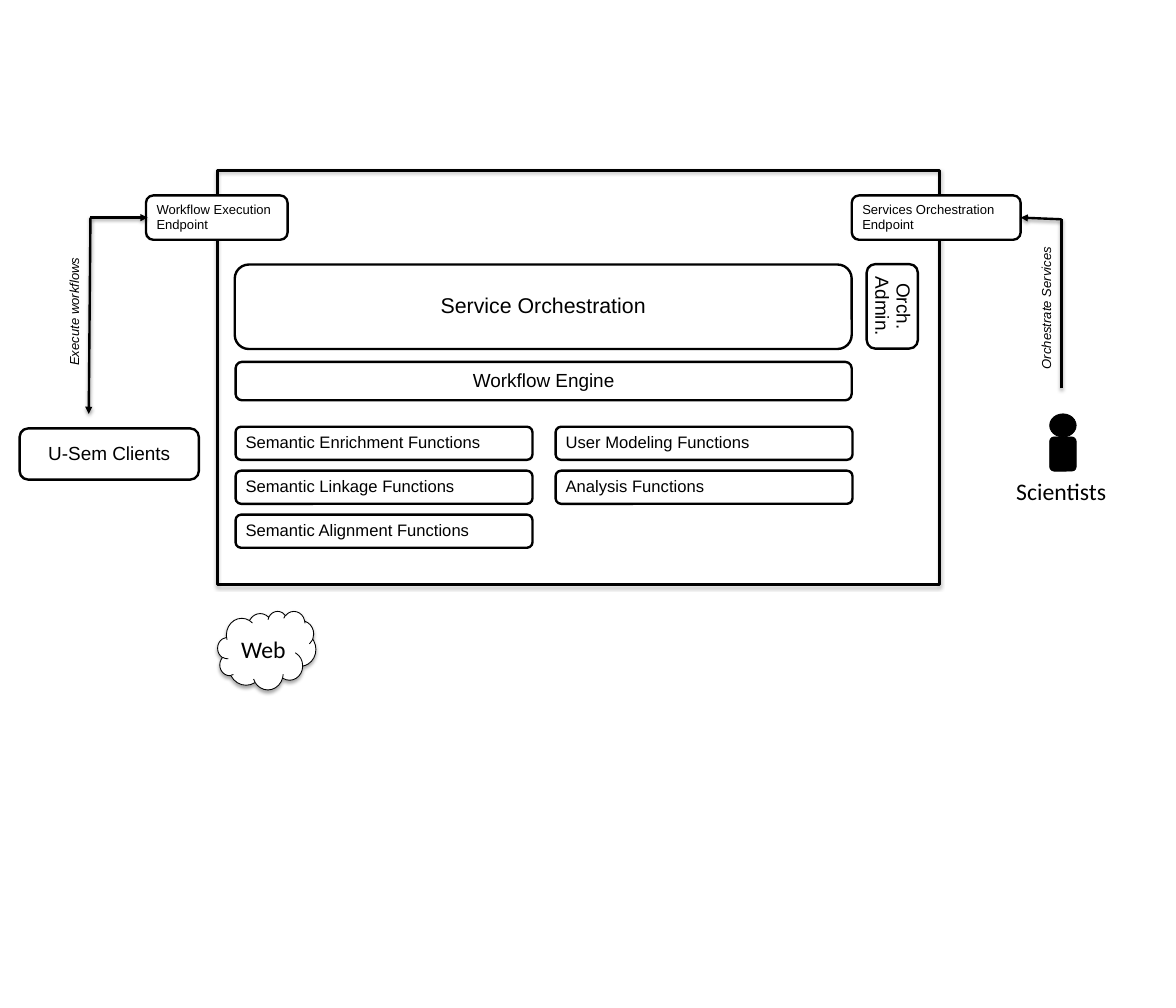
from lxml import etree
from pptx import Presentation, util as u
from pptx.dml.color import RGBColor
from pptx.enum import shapes, text
from pptx.oxml import ns

BLACK = RGBColor(0, 0, 0)
WHITE = RGBColor(255, 255, 255)
KIND = shapes.MSO_SHAPE
LEFT, MID = text.PP_ALIGN.LEFT, text.PP_ALIGN.CENTER
NOTE = dict(size=u.Pt(11), name="Arial", italic=True)


def part(box, x, y, w=0, h=0):
    """Turn percentages of a box into a box in EMU."""
    left, top, wide, high = box
    return (int(left + wide * x / 100), int(top + high * y / 100),
            int(wide * w / 100), int(high * h / 100))


def cast(shape, alpha):
    """Give a shape a soft shadow straight below it."""
    props = shape._element.spPr
    for old in props.findall(ns.qn("a:effectLst")):
        props.remove(old)
    group = etree.SubElement(props, ns.qn("a:effectLst"))
    shade = etree.SubElement(group, ns.qn("a:outerShdw"), blurRad=str(u.Pt(3.1)),
                             dist=str(u.Pt(1.7)), dir="5400000", rotWithShape="0")
    tint = etree.SubElement(shade, ns.qn("a:srgbClr"), val=str(BLACK))
    etree.SubElement(tint, ns.qn("a:alpha"), val=str(alpha * 1000))


def write(frame, words, align, space, style):
    """Fill a text frame with one styled paragraph."""
    para = frame.paragraphs[0]
    para.alignment, para.line_spacing = align, space
    run = para.add_run()
    run.text = words
    run.font.color.rgb = BLACK
    for key, val in style.items():
        setattr(run.font, key, val)


def block(slide, box, kind=KIND.ROUNDED_RECTANGLE, fill=WHITE, line=2):
    """Draw one outlined preset shape."""
    shape = slide.shapes.add_shape(kind, *box)
    shape.shadow.inherit = False
    if fill is None:
        shape.fill.background()
    else:
        shape.fill.solid()
        shape.fill.fore_color.rgb = fill
    shape.line.color.rgb = BLACK
    shape.line.width = u.Pt(line)
    return shape


def card(slide, box, words, size, align=LEFT):
    """Draw a rounded box that holds text."""
    shape = block(slide, box)
    frame = shape.text_frame
    frame.word_wrap = True
    frame.vertical_anchor = text.MSO_ANCHOR.MIDDLE
    write(frame, words, align, 0.93, dict(size=u.Pt(size), name="Arial"))
    return shape


def label(slide, box, words, style, align=LEFT, turn=0, wrap=False):
    """Place free text, turned if asked."""
    field = slide.shapes.add_textbox(*box)
    field.rotation = turn
    frame = field.text_frame
    frame.word_wrap = wrap
    frame.auto_size = text.MSO_AUTO_SIZE.SHAPE_TO_FIT_TEXT
    write(frame, words, align, None, style)


def arrow(slide, box, start, end, tip=True):
    """Join two points of a box, with an optional arrowhead at the end."""
    ends = part(box, *start)[:2] + part(box, *end)[:2]
    line = slide.shapes.add_connector(shapes.MSO_CONNECTOR.STRAIGHT, *ends)
    line.line.color.rgb = BLACK
    line.line.width = u.Pt(2)
    if tip:
        etree.SubElement(line.line._get_or_add_ln(), ns.qn("a:tailEnd"), type="triangle")
    cast(line, 38)


def platform(slide, box):
    """Draw the frame with its engine, functions and endpoints."""
    cast(block(slide, box, KIND.RECTANGLE, None), 35)
    card(slide, part(box, 2.36, 22.68, 85.46, 20.41), "Service Orchestration", 18, MID)
    card(slide, part(box, 2.48, 46.19, 85.34, 9.28), "Workflow Engine", 16, MID)
    admin = card(slide, part(box, 87.59, 26.6, 11.7, 12.37), "Orch. Admin.", 16, MID)
    admin.rotation = 90
    for x, w, words in ((-9.93, 19.62, "Workflow Execution Endpoint"),
                        (87.83, 23.4, "Services Orchestration Endpoint")):
        card(slide, part(box, x, 5.98, w, 10.72), words, 11)
    groups = (("Semantic Enrichment", "Semantic Linkage", "Semantic Alignment"),
              ("User Modeling", "Analysis"))
    for col, group in enumerate(groups):
        for row, name in enumerate(group):
            spot = part(box, 2.48 + 44.33 * col, 61.86 + 10.62 * row, 41.13, 8)
            card(slide, spot, name + " Functions", 14)


def clients(slide, box):
    """Draw the clients and their two-way path to the endpoint."""
    bend = (39.52, 0)
    arrow(slide, box, bend, (71.43, 0))
    arrow(slide, box, bend, (38.57, 74.92))
    label(slide, part(box, -4.76, 30.94, 70.48, 9.45), "Execute workflows", NOTE, turn=270)
    card(slide, part(box, 0, 80.46, 100, 19.54), "U-Sem Clients", 16, MID)


def users(slide, box):
    """Draw the scientists and their path to the endpoint."""
    bend = (50.39, 0.58)
    arrow(slide, box, bend, (13.18, 0))
    arrow(slide, box, (50.39, 58.31), bend, False)
    label(slide, part(box, -27.13, 26.53, 127.13, 8.45), "Orchestrate Services",
          NOTE, turn=270)
    for kind, y, h in ((KIND.OVAL, 67.06, 7.87), (KIND.ROUNDED_RECTANGLE, 74.93, 11.66)):
        block(slide, part(box, 39.53, y, 24.03, h), kind, BLACK, 0.74)
    label(slide, part(box, 0, 87.17, 100, 12.83), "Scientists",
          dict(size=u.Pt(20), name="Calibri"), MID, wrap=True)


def web(slide, box):
    """Draw the web cloud."""
    cloud = block(slide, box, KIND.CLOUD, line=0.75)
    cast(cloud, 35)
    cloud.text_frame.vertical_anchor = text.MSO_ANCHOR.MIDDLE
    write(cloud.text_frame, "Web", MID, None, dict(size=u.Pt(20), name="Calibri"))


def main():
    """Build the slide and save it."""
    deck = Presentation()
    deck.slide_width, deck.slide_height = u.Inches(13.78), u.Inches(11.81)
    slide = deck.slides.add_slide(deck.slide_layouts[6])
    page = (0, 0, deck.slide_width, deck.slide_height)
    platform(slide, part(page, 18.51, 16.93, 61.39, 41.07))
    web(slide, part(page, 18.51, 60.63, 8.35, 7.79))
    clients(slide, part(page, 1.67, 21.59, 15.24, 25.99))
    users(slide, part(page, 85.56, 21.59, 9.36, 29.04))
    deck.save("out.pptx")


main()
